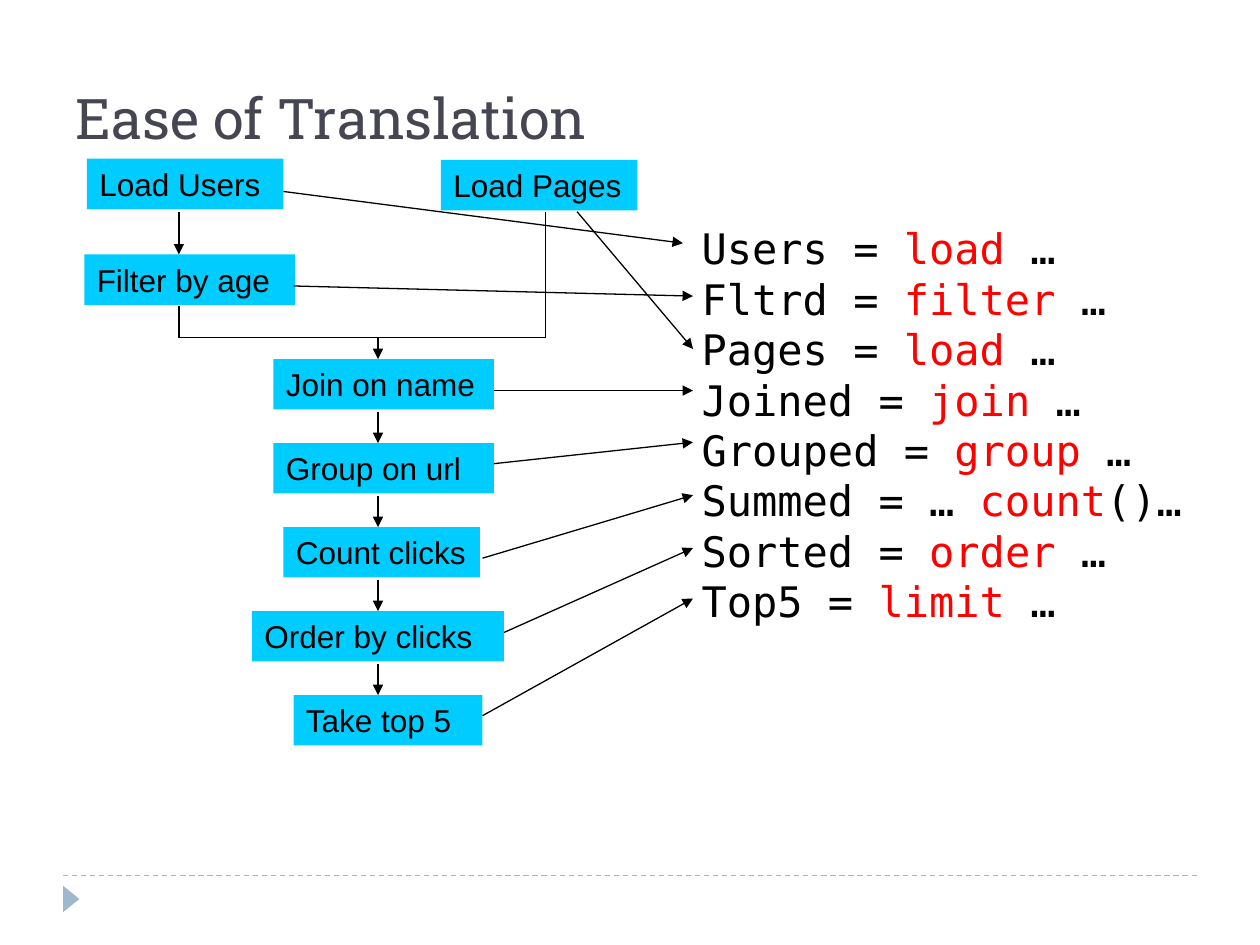
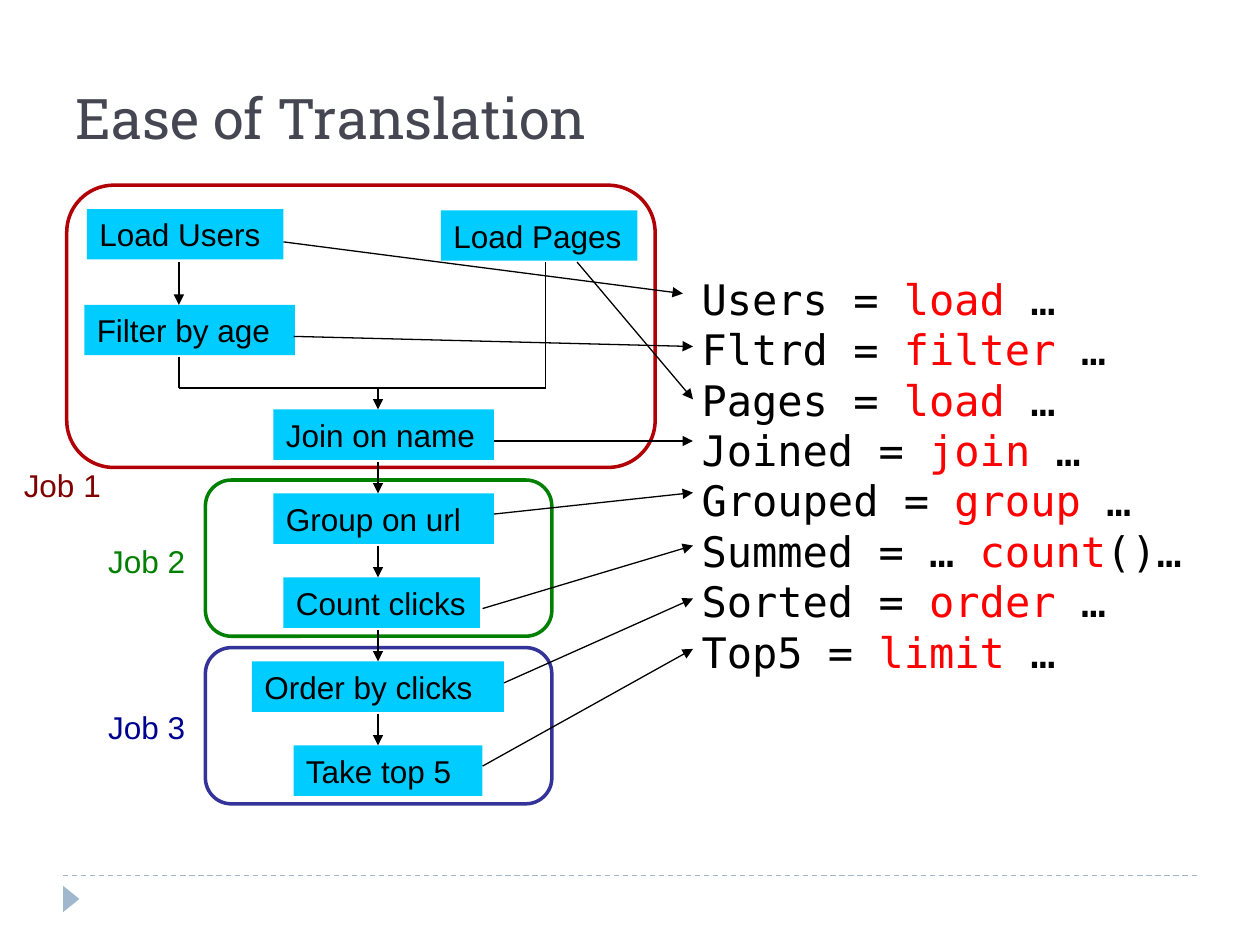
from lxml import etree
from pptx import Presentation
from pptx.dml.color import RGBColor
from pptx.enum.dml import MSO_LINE
from pptx.enum.shapes import MSO_CONNECTOR, MSO_SHAPE
from pptx.enum.text import MSO_ANCHOR, PP_ALIGN
from pptx.oxml.ns import qn
from pptx.util import Inches, Pt

STRAIGHT = MSO_CONNECTOR.STRAIGHT
RECTANGLE = MSO_SHAPE.RECTANGLE
ROUNDED = MSO_SHAPE.ROUNDED_RECTANGLE
TRIANGLE = MSO_SHAPE.ISOSCELES_TRIANGLE
TOP, BOTTOM = MSO_ANCHOR.TOP, MSO_ANCHOR.BOTTOM
LEFT = PP_ALIGN.LEFT
DASH = MSO_LINE.DASH

BLACK = RGBColor(0x00, 0x00, 0x00)
WHITE = RGBColor(0xFF, 0xFF, 0xFF)
SLATE = RGBColor(0x46, 0x46, 0x53)
FOOTER_BLUE = RGBColor(0x9F, 0xB8, 0xCD)
CYAN = RGBColor(0x00, 0xCC, 0xFF)
RED = RGBColor(0xFF, 0x00, 0x00)
CRIMSON = RGBColor(0xB1, 0x00, 0x06)
MAROON = RGBColor(0x80, 0x00, 0x00)
GREEN = RGBColor(0x00, 0x80, 0x00)
INDIGO = RGBColor(0x33, 0x33, 0x99)
NAVY = RGBColor(0x00, 0x00, 0x90)

TITLE_FONT, BODY_FONT, CODE_FONT = "Roboto Slab", "Arial", "DejaVu Sans Mono"

BOX_HEIGHT = 0.4
CHAIN_X = 3
CHAIN_TOP = 2.85
CHAIN_STEP = 2 / 3
ARROW_LENGTH = 0.25
MERGE_Y = 2.68
USERS_X, PAGES_X = 1.42, 4.33
JOB_SLIDE_SHIFT = 0.4

# Label, left, top, width
LOAD_STEPS = [
    ("Load Users", 0.69, 1.26, 1.56),
    ("Load Pages", 3.5, 1.27, 1.56),
    ("Filter by age", 0.67, 2.02, 1.67),
]

# Label, left, width: one chain of equally spaced steps
CHAIN_STEPS = [
    ("Join on name", 2.17, 1.75),
    ("Group on url", 2.17, 1.75),
    ("Count clicks", 2.25, 1.56),
    ("Order by clicks", 2, 2),
    ("Take top 5", 2.33, 1.5),
]

# Start and end of the arrow from each step to its line of code
CODE_ARROWS = [
    ((2.25, 1.52), (5.42, 1.93)),
    ((2.33, 2.27), (5.5, 2.35)),
    ((4.58, 1.68), (5.5, 2.77)),
    ((3.92, 3.1), (5.5, 3.1)),
    ((3.92, 3.68), (5.5, 3.51)),
    ((3.83, 4.43), (5.5, 3.93)),
    ((4, 5.02), (5.5, 4.35)),
    ((3.83, 5.68), (5.5, 4.75)),
]

# Text before the keyword, keyword, text after it
CODE_LINES = [
    ("Users = ", "load", " …"),
    ("Fltrd = ", "filter", " …"),
    ("Pages = ", "load", " …"),
    ("Joined = ", "join", " …"),
    ("Grouped = ", "group", " …"),
    ("Summed = … ", "count", "()…"),
    ("Sorted = ", "order", " …"),
    ("Top5 = ", "limit", " …"),
]

# Label, label place, label colour, frame place and size, frame colour
JOBS = [
    ("Job 3", (0.76, 5.57), NAVY, (1.63, 5.14, 2.75, 1.24), INDIGO),
    ("Job 2", (0.76, 4.25), GREEN, (1.63, 3.81, 2.75, 1.24), GREEN),
    ("Job 1", (0.09, 3.65), MAROON, (0.53, 1.47, 4.67, 2.24), CRIMSON),
]


def write_text(frame, lines, *, size=18, font=BODY_FONT, color=BLACK,
               anchor=TOP, wrap=True, spacing=None):
    """Fill a text frame; each line is a string or a list of (text, color)."""
    frame.word_wrap = wrap
    frame.vertical_anchor = anchor
    for index, line in enumerate(lines):
        para = frame.add_paragraph() if index else frame.paragraphs[0]
        para.alignment = LEFT
        para.line_spacing = spacing
        spans = [(line, color)] if isinstance(line, str) else line
        for text, span_color in spans:
            span = para.add_run()
            span.text = text
            span.font.size = Pt(size)
            span.font.name = font
            span.font.color.rgb = span_color


def add_box(page, kind, left, top, width, height, fill, outline=None):
    box = page.shapes.add_shape(
        kind, Inches(left), Inches(top), Inches(width), Inches(height))
    box.shadow.inherit = False
    box.fill.solid()
    box.fill.fore_color.rgb = fill
    if outline is None:
        box.line.fill.background()
    else:
        box.line.color.rgb = outline
        box.line.width = Pt(2)
    return box


def add_text_box(page, lines, left, top, width, height, **text_format):
    box = page.shapes.add_textbox(
        Inches(left), Inches(top), Inches(width), Inches(height))
    write_text(box.text_frame, lines, **text_format)


def add_line(page, start, end, *, shift=0, color=BLACK, arrow=False):
    (x1, y1), (x2, y2) = start, end
    line = page.shapes.add_connector(
        STRAIGHT, Inches(x1), Inches(y1 + shift), Inches(x2), Inches(y2 + shift))
    line.line.color.rgb = color
    line.line.width = Pt(0.75)
    if arrow:
        outline = line.line._get_or_add_ln()
        etree.SubElement(outline, qn("a:tailEnd"), type="triangle")
    etree.SubElement(line.element.spPr, qn("a:effectLst"))
    return line


def add_footer(page):
    rule = add_line(page, (0.5, 6.95), (9.5, 6.95), color=FOOTER_BLUE)
    rule.line.dash_style = DASH
    marker = add_box(page, TRIANGLE, 0.46, 7.07, 0.21, 0.13, FOOTER_BLUE)
    marker.rotation = 90


def add_page(deck, title):
    page = deck.slides.add_slide(deck.slide_layouts.get_by_name("Title Only"))
    add_footer(page)
    heading = page.shapes.title
    heading.left, heading.top = Inches(0.5), Inches(0.17)
    heading.width, heading.height = Inches(9), Inches(1.08)
    write_text(heading.text_frame, [title], size=32, font=TITLE_FONT,
               color=SLATE, anchor=BOTTOM)
    return page


def add_step(page, label, left, top, width):
    box = add_box(page, RECTANGLE, left, top, width, BOX_HEIGHT, CYAN)
    write_text(box.text_frame, [label])


def add_flow(page, shift):
    """Draw the data flow, moved down by shift inches."""
    for label, left, top, width in LOAD_STEPS:
        add_step(page, label, left, top + shift, width)

    add_line(page, (USERS_X, 1.68), (USERS_X, 2.02), shift=shift, arrow=True)
    merge = [(USERS_X, 2.43), (USERS_X, MERGE_Y), (PAGES_X, MERGE_Y), (PAGES_X, 1.68)]
    for start, end in zip(merge, merge[1:]):
        add_line(page, start, end, shift=shift)

    for index, (label, left, width) in enumerate(CHAIN_STEPS):
        top = CHAIN_TOP + index * CHAIN_STEP
        add_step(page, label, left, top + shift, width)
        arrow_top = top - ARROW_LENGTH if index else MERGE_Y
        add_line(page, (CHAIN_X, arrow_top), (CHAIN_X, top), shift=shift, arrow=True)


def add_code(page, shift):
    """Draw the code and the arrows that lead to its lines."""
    for start, end in CODE_ARROWS:
        add_line(page, start, end, shift=shift, arrow=True)
    lines = [[(before, BLACK), (keyword, RED), (after, BLACK)]
             for before, keyword, after in CODE_LINES]
    add_text_box(page, lines, 5.47, 1.72 + shift, 4.17, 3.3,
                 size=24, font=CODE_FONT, spacing=Pt(28.8))


def add_jobs(page):
    for label, (left, top), color, frame, outline in JOBS:
        add_box(page, ROUNDED, *frame, WHITE, outline)
        add_text_box(page, [label], left, top, 0.81, BOX_HEIGHT,
                     color=color, wrap=False)


def main():
    deck = Presentation()
    deck.slide_width, deck.slide_height = Inches(10), Inches(7.5)
    for shift, with_jobs in ((0, False), (JOB_SLIDE_SHIFT, True)):
        page = add_page(deck, "Ease of Translation")
        if with_jobs:
            add_jobs(page)
        add_flow(page, shift)
        add_code(page, shift)
    deck.save("out.pptx")


if __name__ == "__main__":
    main()
